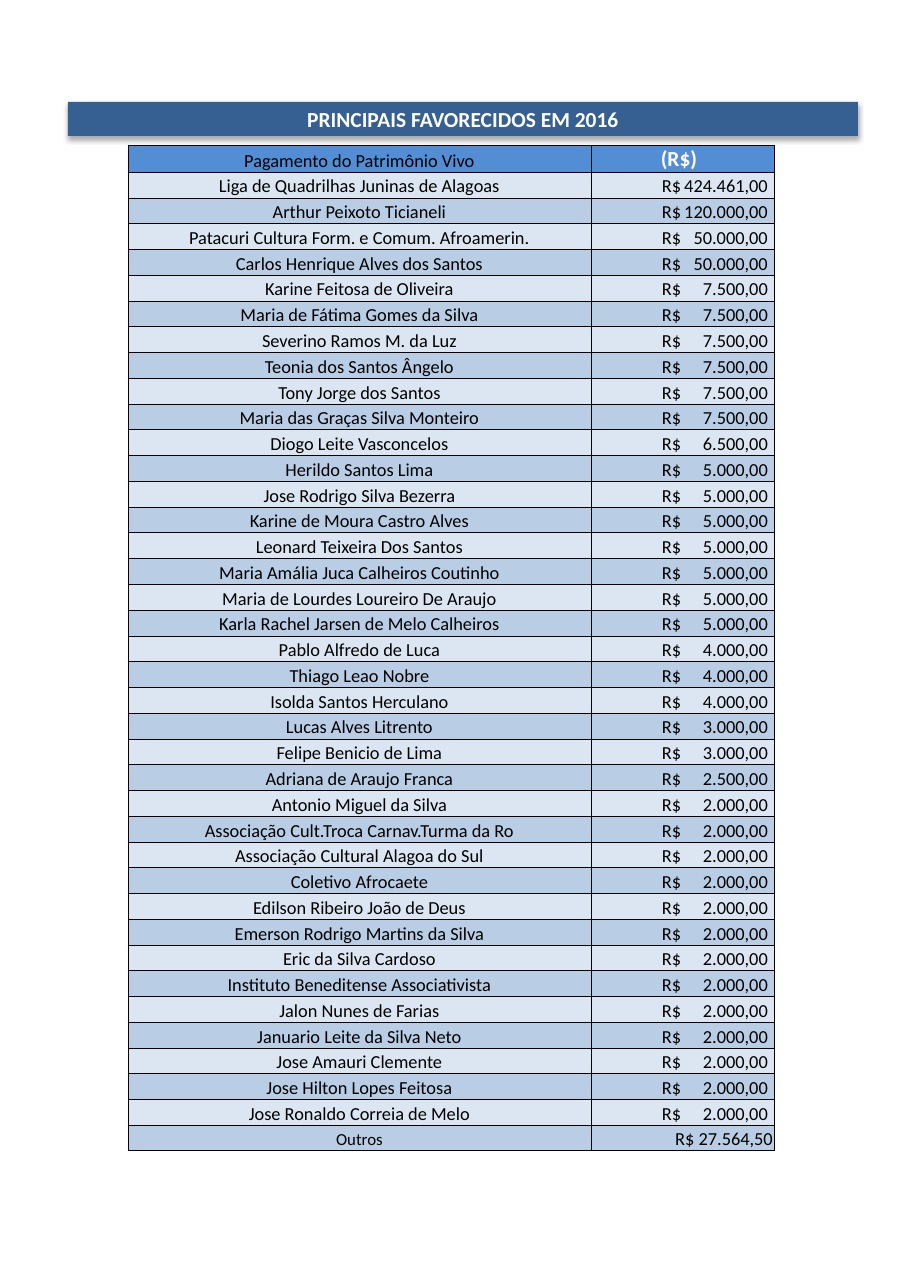
from pptx import Presentation
from pptx.dml.color import RGBColor
from pptx.enum.shapes import MSO_SHAPE
from pptx.enum.text import MSO_ANCHOR, PP_ALIGN
from pptx.oxml import parse_xml
from pptx.oxml.ns import nsdecls
from pptx.util import Emu, Pt

RECTANGLE = MSO_SHAPE.RECTANGLE
MIDDLE, BOTTOM = MSO_ANCHOR.MIDDLE, MSO_ANCHOR.BOTTOM
LEFT, CENTER, RIGHT = PP_ALIGN.LEFT, PP_ALIGN.CENTER, PP_ALIGN.RIGHT

EMU_PER_PX = 8300
BLACK, WHITE = "000000", "FFFFFF"
BANNER_BLUE, HEADER_BLUE = "376092", "538ED5"
BANDS = ["B9CDE5", "DCE6F2"]

TITLE = "PRINCIPAIS FAVORECIDOS EM 2016"
HEADINGS = ("Pagamento do Patrimônio Vivo", "(R$)")
PAYMENTS = [
    ("Liga de Quadrilhas Juninas de Alagoas", "424.461,00"),
    ("Arthur Peixoto Ticianeli", "120.000,00"),
    ("Patacuri Cultura Form. e Comum. Afroamerin.", "50.000,00"),
    ("Carlos Henrique Alves dos Santos", "50.000,00"),
    ("Karine Feitosa de Oliveira", "7.500,00"),
    ("Maria de Fátima Gomes da Silva", "7.500,00"),
    ("Severino Ramos M. da Luz", "7.500,00"),
    ("Teonia dos Santos Ângelo", "7.500,00"),
    ("Tony Jorge dos Santos", "7.500,00"),
    ("Maria das Graças Silva Monteiro", "7.500,00"),
    ("Diogo Leite Vasconcelos", "6.500,00"),
    ("Herildo Santos Lima", "5.000,00"),
    ("Jose Rodrigo Silva Bezerra", "5.000,00"),
    ("Karine de Moura Castro Alves", "5.000,00"),
    ("Leonard Teixeira Dos Santos", "5.000,00"),
    ("Maria Amália Juca Calheiros Coutinho", "5.000,00"),
    ("Maria de Lourdes Loureiro De Araujo", "5.000,00"),
    ("Karla Rachel Jarsen de Melo Calheiros", "5.000,00"),
    ("Pablo Alfredo de Luca", "4.000,00"),
    ("Thiago Leao Nobre", "4.000,00"),
    ("Isolda Santos Herculano", "4.000,00"),
    ("Lucas Alves Litrento", "3.000,00"),
    ("Felipe Benicio de Lima", "3.000,00"),
    ("Adriana de Araujo Franca", "2.500,00"),
    ("Antonio Miguel da Silva", "2.000,00"),
    ("Associação Cult.Troca Carnav.Turma da Ro", "2.000,00"),
    ("Associação Cultural Alagoa do Sul", "2.000,00"),
    ("Coletivo Afrocaete", "2.000,00"),
    ("Edilson Ribeiro João de Deus", "2.000,00"),
    ("Emerson Rodrigo Martins da Silva", "2.000,00"),
    ("Eric da Silva Cardoso", "2.000,00"),
    ("Instituto Beneditense Associativista", "2.000,00"),
    ("Jalon Nunes de Farias", "2.000,00"),
    ("Januario Leite da Silva Neto", "2.000,00"),
    ("Jose Amauri Clemente", "2.000,00"),
    ("Jose Hilton Lopes Feitosa", "2.000,00"),
    ("Jose Ronaldo Correia de Melo", "2.000,00"),
]
OTHERS = ("Outros", "R$ 27.564,50")


def px(length):
    return Emu(length * EMU_PER_PX)


def paint(fill, color):
    fill.solid()
    fill.fore_color.rgb = RGBColor.from_string(color)


def write(frame, text, font="Calibri", size=12, color=BLACK, bold=False,
          align=CENTER, spacing=None, right_tab=None):
    para = frame.paragraphs[0]
    if right_tab:
        para._p.get_or_add_pPr().append(parse_xml(
            f'<a:tabLst {nsdecls("a")}><a:tab pos="{px(right_tab)}" algn="r"/></a:tabLst>'))
    para.alignment = align
    if spacing:
        para.line_spacing = spacing
    span = para.add_run()
    span.text = text
    span.font.name = font
    span.font.size = Pt(size)
    span.font.bold = bold
    span.font.color.rgb = RGBColor.from_string(color)


class Page:
    def __init__(self, deck, font):
        self.slide = deck.slides.add_slide(deck.slide_layouts[6])
        self.font = font

    def banner(self, text, left, top, width, height):
        box = self.slide.shapes.add_shape(RECTANGLE, px(left), px(top), px(width), px(height))
        paint(box.fill, BANNER_BLUE)
        box.line.fill.background()
        box.shadow.inherit = False
        box._element.spPr.find("{*}effectLst").append(parse_xml(
            f'<a:outerShdw {nsdecls("a")} blurRad="{Pt(3.5)}" dist="{Pt(2.2)}" '
            f'dir="5400000" rotWithShape="0"><a:srgbClr val="{BLACK}">'
            '<a:alpha val="32000"/></a:srgbClr></a:outerShdw>'))
        box.text_frame.word_wrap = True
        box.text_frame.vertical_anchor = MIDDLE
        write(box.text_frame, text, font=self.font, size=14, color=WHITE, bold=True)

    def table(self, left, top, widths, row_height, row_count):
        frame = self.slide.shapes.add_table(
            row_count, len(widths), px(left), px(top),
            px(sum(widths)), px(row_height * row_count))
        for column, width in zip(frame.table.columns, widths):
            column.width = px(width)
        for row in frame.table.rows:
            row.height = px(row_height)
        return frame.table

    def cell(self, cell, text, fill, margins, anchor=BOTTOM, **style):
        cell.margin_left, cell.margin_top, cell.margin_right, cell.margin_bottom = map(px, margins)
        cell.vertical_anchor = anchor
        properties = cell._tc.get_or_add_tcPr()
        for side in "LRTB":
            properties.append(parse_xml(
                f'<a:ln{side} {nsdecls("a")} w="{Pt(0.5)}"><a:solidFill>'
                f'<a:srgbClr val="{BLACK}"/></a:solidFill></a:ln{side}>'))
        paint(cell.fill, fill)
        write(cell.text_frame, text, font=self.font, **style)

    def name_cell(self, cell, text, fill, size=12):
        self.cell(cell, text, fill, (5, 0, 5, 0), size=size, spacing=1.15)

    def amount_cell(self, cell, amount, fill):
        self.cell(cell, f"R$\t{amount}", fill, (71, 1, 1, 0), align=LEFT, right_tab=106)


def main():
    deck = Presentation()
    deck.slide_width, deck.slide_height = px(911), px(1288)
    page = Page(deck, "Calibri")
    page.banner(TITLE, 68, 102, 790, 34)

    table = page.table(128, 145, [463, 183], 25, len(PAYMENTS) + 2)
    page.name_cell(table.cell(0, 0), HEADINGS[0], HEADER_BLUE)
    page.cell(table.cell(0, 1), HEADINGS[1], HEADER_BLUE, (1, 1, 8, 0),
              anchor=MIDDLE, size=14, color=WHITE, bold=True)
    for index, (name, amount) in enumerate(PAYMENTS, start=1):
        band = BANDS[index % 2]
        page.name_cell(table.cell(index, 0), name, band)
        page.amount_cell(table.cell(index, 1), amount, band)
    last = len(PAYMENTS) + 1
    page.name_cell(table.cell(last, 0), OTHERS[0], BANDS[last % 2], size=11)
    page.cell(table.cell(last, 1), OTHERS[1], BANDS[last % 2], (1, 1, 1, 0), align=RIGHT)

    deck.save("out.pptx")


if __name__ == "__main__":
    main()
